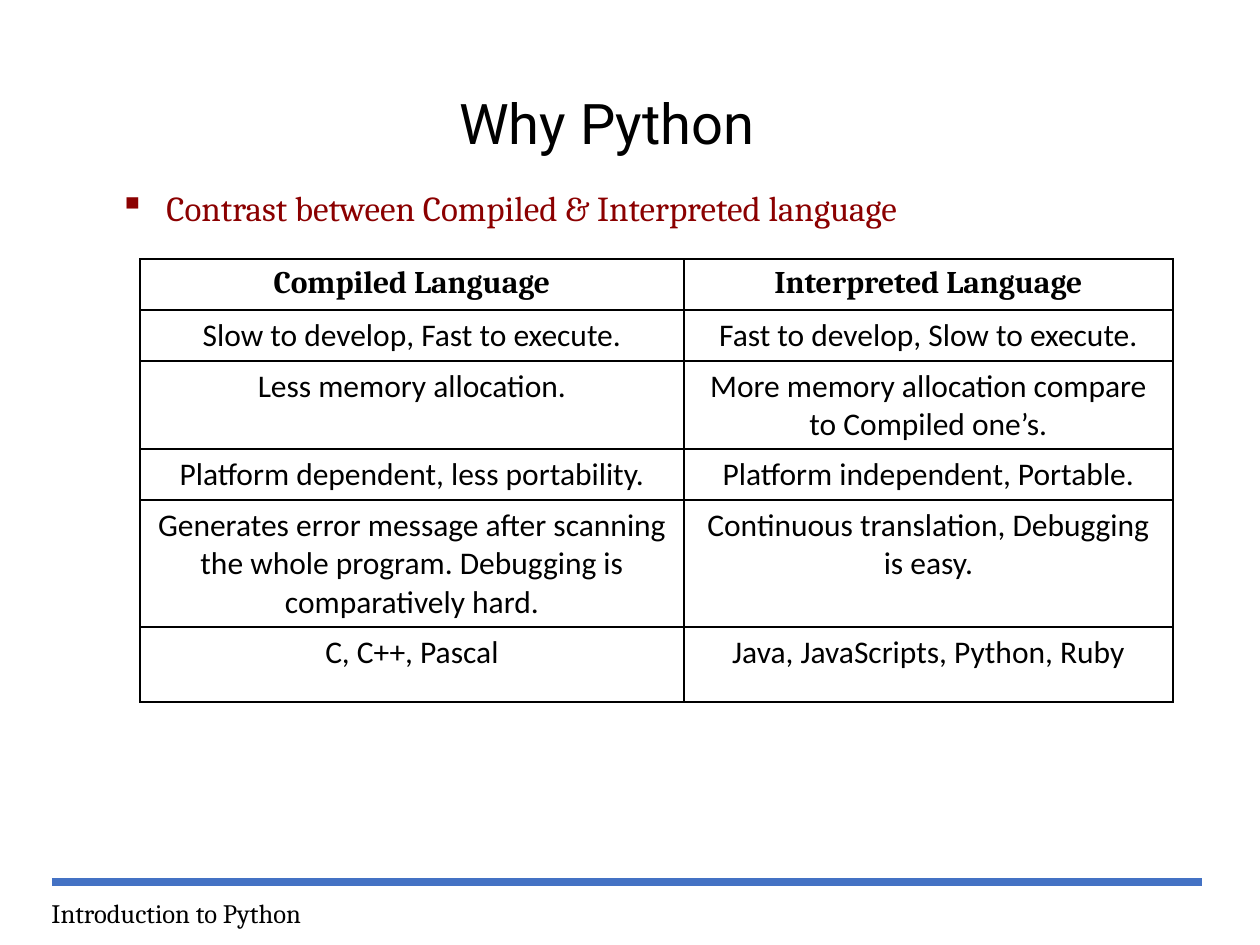
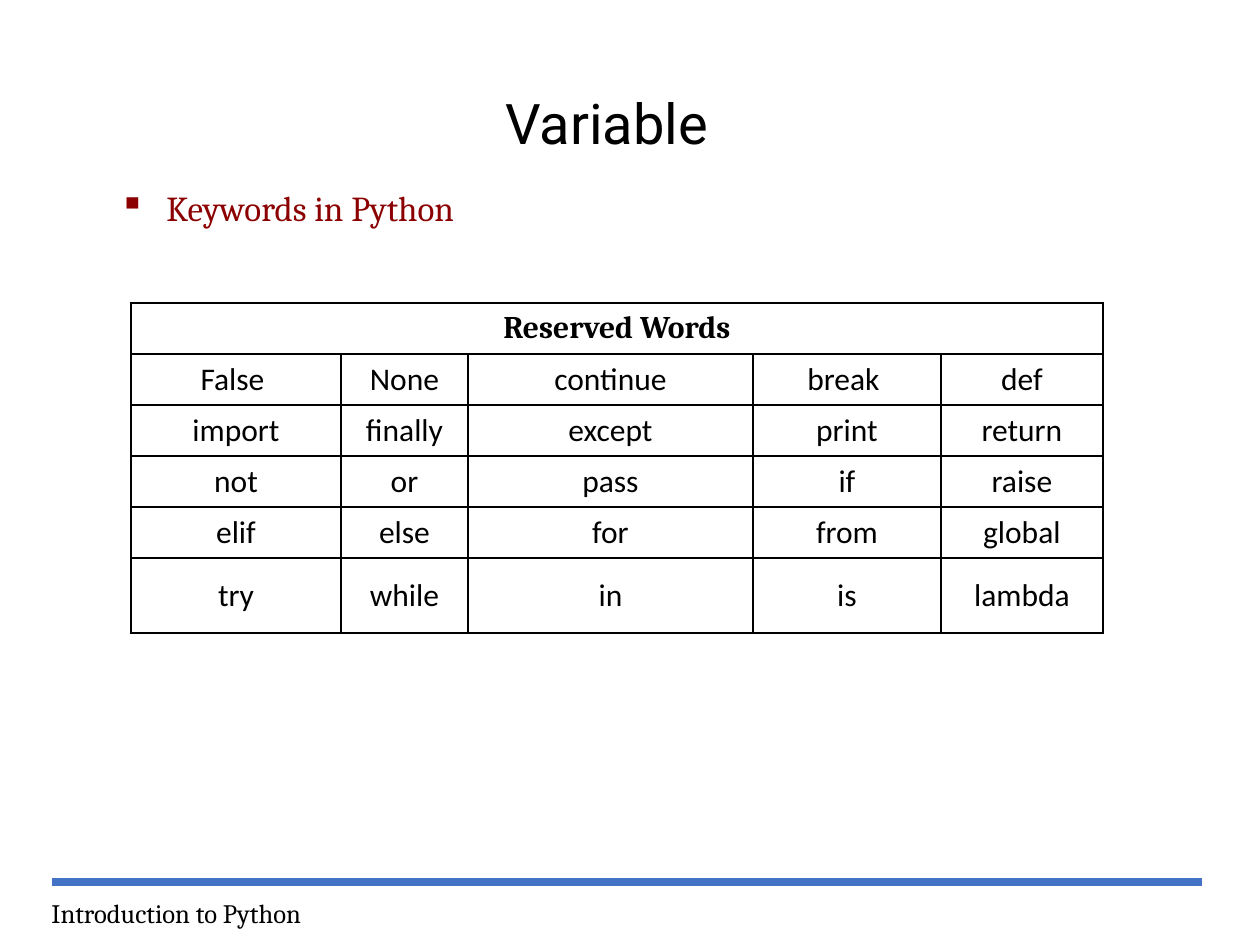
import lxml.etree
import pptx
import pptx.dml.color
import pptx.enum.shapes
import pptx.enum.text
import pptx.oxml
import pptx.oxml.ns
import pptx.util

ALIGN = pptx.enum.text.PP_ALIGN
ANCHOR = pptx.enum.text.MSO_ANCHOR
COLOURS = {"ink": "000000", "heading": "8B0000", "rule": "4472C4"}
FORMATS = {
    "title": {"name": "Roboto", "size": 32, "bold": False, "colour": "ink"},
    "heading": {"name": "Cambria", "size": 20, "bold": False, "colour": "heading"},
    "footer": {"name": "Cambria", "size": 15.2, "bold": False, "colour": "ink"},
    "table head": {"name": "Cambria", "size": 18, "bold": True, "colour": "ink"},
    "table body": {"name": "Calibri", "size": 18, "bold": False, "colour": "ink"},
}


def px(pixels):
    return pptx.util.Emu(round(pixels * 914400 / 126))


class Deck:
    TITLE_CENTRE = 607

    def __init__(self):
        self.presentation = pptx.Presentation()
        self.presentation.slide_width = px(1260)
        self.presentation.slide_height = px(945)
        self.slide = None

    def colour(self, name):
        return pptx.dml.color.RGBColor.from_string(COLOURS[name])

    def fill_text(self, frame, text, style, align):
        """Put one formatted paragraph into a text frame."""
        paragraph = frame.paragraphs[0]
        paragraph.alignment = align
        run = paragraph.add_run()
        run.text = text
        for key, value in FORMATS[style].items():
            if key == "colour":
                run.font.color.rgb = self.colour(value)
            else:
                setattr(run.font, key, pptx.util.Pt(value) if key == "size" else value)
        return paragraph

    def start(self, title, title_width, heading):
        """Add a slide with the parts that every slide has."""
        self.slide = self.presentation.slides.add_slide(self.presentation.slide_layouts[5])
        self.title(title, title_width)
        self.heading(heading)
        self.footer("Introduction to Python")

    def title(self, text, width):
        title = self.slide.shapes.title
        place = {"left": self.TITLE_CENTRE - width / 2, "top": 82, "width": width, "height": 81}
        for key, value in place.items():
            setattr(title, key, px(value))
        settings = {"word_wrap": False, "vertical_anchor": ANCHOR.TOP,
                    "auto_size": pptx.enum.text.MSO_AUTO_SIZE.NONE}
        for key, value in settings.items():
            setattr(title.text_frame, key, value)
        self.fill_text(title.text_frame, text, "title", ALIGN.CENTER)

    def text(self, text, style, align, left, top, width, height):
        box = self.slide.shapes.add_textbox(px(left), px(top), px(width), px(height))
        box.text_frame.word_wrap = True
        return self.fill_text(box.text_frame, text, style, align)

    def heading(self, text):
        paragraph = self.text(text, "heading", ALIGN.JUSTIFY, 107, 159, 1086, 649)
        paragraph.line_spacing = 1.5
        paragraph.space_before = pptx.util.Pt(10)
        properties = paragraph._p.get_or_add_pPr()
        properties.set("marL", str(px(47)))
        properties.set("indent", str(px(-47)))
        bullet = lxml.etree.SubElement(properties, pptx.oxml.ns.qn("a:buChar"))
        bullet.set("char", "▪")

    def footer(self, text):
        rule = self.slide.shapes.add_connector(
            pptx.enum.shapes.MSO_CONNECTOR.STRAIGHT, px(52), px(882), px(1202), px(882))
        rule.line.color.rgb = self.colour("rule")
        rule.line.width = pptx.util.Pt(4.5)
        lxml.etree.SubElement(rule._element.spPr, pptx.oxml.ns.qn("a:effectLst"))
        self.text(text, "footer", ALIGN.LEFT, 39, 891, 369, 45)

    def border(self, cell):
        properties = cell._tc.get_or_add_tcPr()
        for place, side in enumerate("LRTB"):
            properties.insert(place, pptx.oxml.parse_xml(
                f'<a:ln{side} {pptx.oxml.ns.nsdecls("a")} w="12700"><a:solidFill>'
                f'<a:srgbClr val="{COLOURS["ink"]}"/></a:solidFill></a:ln{side}>'))

    def table(self, left, top, columns, heights, rows, anchor):
        """Draw a ruled table; a row with one entry spans all columns."""
        table = self.slide.shapes.add_table(
            len(rows), len(columns), px(left), px(top), px(sum(columns)), px(sum(heights))).table
        table.first_row = table.horz_banding = False
        for column, width in zip(table.columns, columns):
            column.width = px(width)
        for row, height in zip(table.rows, heights):
            row.height = px(height)
        for cell in table.iter_cells():
            cell.fill.background()
            cell.vertical_anchor = anchor
            self.border(cell)
        for r, words in enumerate(rows):
            if len(words) == 1:
                table.cell(r, 0).merge(table.cell(r, len(columns) - 1))
            for c, word in enumerate(words):
                style = "table body" if r else "table head"
                self.fill_text(table.cell(r, c).text_frame, word, style, ALIGN.CENTER)


deck = Deck()

# Compiled and interpreted languages
deck.start("Why Python", 324, "Contrast between Compiled & Interpreted language")
deck.table(140, 259, [544, 489], [51, 51, 88, 51, 127, 75], [
    ["Compiled Language", "Interpreted Language"],
    ["Slow to develop, Fast to execute.", "Fast to develop, Slow to execute."],
    ["Less memory allocation.", "More memory allocation compare to Compiled one’s."],
    ["Platform dependent, less portability.", "Platform independent, Portable."],
    ["Generates error message after scanning the whole program. "
     "Debugging is comparatively hard.", "Continuous translation, Debugging is easy."],
    ["C, C++, Pascal", "Java, JavaScripts, Python, Ruby"],
], ANCHOR.TOP)

# Reserved words
deck.start("Variable", 232, "Keywords in Python")
deck.table(131, 303, [210, 127, 285, 188, 162], [51] * 5 + [75], [
    ["Reserved Words"],
    ["False ", "None", "continue", "break ", "def"],
    ["import", "finally", "except", "print", "return"],
    ["not", "or", "pass", "if", "raise"],
    ["elif", "else", "for", "from", "global"],
    ["try", "while", "in", "is", "lambda"],
], ANCHOR.MIDDLE)

deck.presentation.save("out.pptx")
